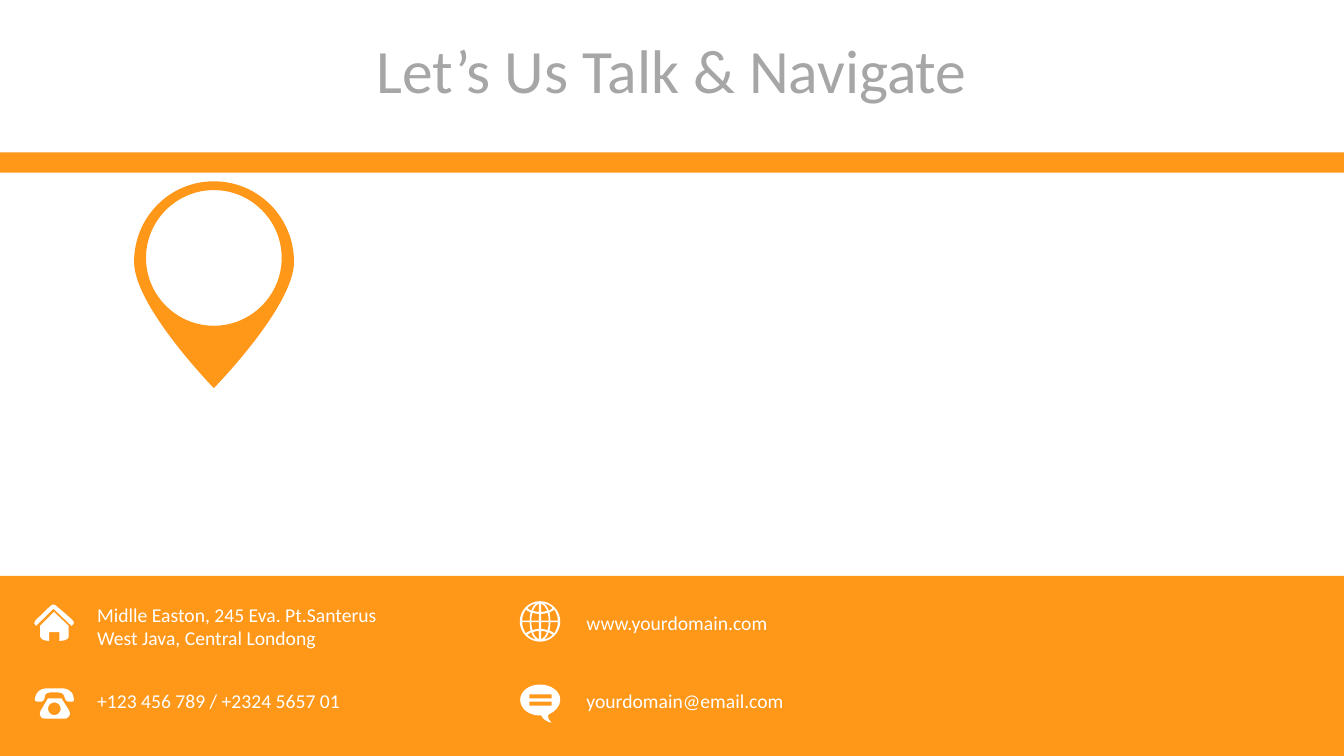
from lxml.etree import SubElement
from pptx import Presentation
from pptx.dml.color import RGBColor
from pptx.enum.shapes import MSO_SHAPE
from pptx.enum.text import PP_ALIGN
from pptx.oxml.ns import qn
from pptx.util import Cm, Pt

ORANGE, WHITE, GREY = "FF9719", "FFFFFF", "A6A6A6"
WIDE, HIGH = 33.87, 19.05

# Bands: top, height (cm)
BANDS = [(14.51, 4.54), (3.84, 0.51)]

# Texts: lines, left, top, width, height, size, colour, centred, wrapped
TEXTS = [
    (["Let’s Us Talk & Navigate"], 7.88, 0.68, 18.11, 2.14, 44, GREY, True, False),
    (["Midlle Easton, 245 Eva. Pt.Santerus", "West Java, Central Londong"],
     2.2, 15.06, 8.46, 1.45, 14, WHITE, False, True),
    (["+123 456 789 / +2324 5657 01"], 2.2, 17.23, 7.14, 0.86, 14, WHITE, False, False),
    (["www.yourdomain.com"], 14.53, 15.27, 5.33, 0.86, 14, WHITE, False, False),
    (["yourdomain@email.com"], 14.53, 17.23, 5.61, 0.86, 14, WHITE, False, False),
]

# Outlines (cm): a start point, then lines (2 numbers) or curves (6 numbers)
PIN = [(5.39, 4.57), (4.27, 4.57, 3.38, 5.48, 3.38, 6.6),
       (3.38, 7.72, 5.39, 9.78, 5.39, 9.78), (5.39, 9.78, 7.41, 7.72, 7.41, 6.6),
       (7.41, 5.48, 6.51, 4.57, 5.39, 4.57)]
ROOF = [(1.85, 15.65), (1.78, 15.57, 1.42, 15.27, 1.42, 15.27),
        (1.42, 15.27, 1.35, 15.19, 1.27, 15.27), (0.91, 15.62),
        (0.91, 15.62, 0.81, 15.7, 0.91, 15.77), (1.35, 15.34), (1.8, 15.77),
        (1.8, 15.77, 1.9, 15.72, 1.85, 15.65)]
HOUSE = [(1.73, 15.77), (1.36, 15.42), (1.01, 15.77), (1.01, 16.03),
         (1.01, 16.15, 1.24, 16.15, 1.24, 16.15), (1.24, 15.93), (1.5, 15.93),
         (1.5, 16.15), (1.75, 16.15, 1.73, 16.03, 1.73, 16.03)]
HANDSET = [(1.86, 17.6), (1.83, 17.35, 1.61, 17.35, 1.61, 17.35), (1.14, 17.35),
           (1.14, 17.35, 0.93, 17.35, 0.88, 17.6), (0.86, 17.68, 0.94, 17.68, 0.94, 17.68),
           (1.05, 17.68), (1.12, 17.68, 1.12, 17.6, 1.12, 17.6),
           (1.12, 17.53, 1.14, 17.45, 1.27, 17.45), (1.47, 17.45),
           (1.6, 17.45, 1.63, 17.53, 1.64, 17.6), (1.64, 17.6, 1.65, 17.68, 1.71, 17.68),
           (1.82, 17.68), (1.82, 17.68, 1.88, 17.68, 1.86, 17.6)]
PHONE = [(1.73, 17.88), (1.55, 17.6), (1.21, 17.6), (1.03, 17.9),
         (1.03, 17.9, 0.92, 18.11, 1.16, 18.11), (1.64, 18.11),
         (1.64, 18.11, 1.84, 18.08, 1.73, 17.88)]
BUBBLE = [(14.12, 17.63), (14.12, 17.42, 13.89, 17.25, 13.61, 17.25),
          (13.33, 17.25, 13.11, 17.42, 13.11, 17.63),
          (13.11, 17.86, 13.33, 18.03, 13.61, 18.03), (13.64, 18.03),
          (13.67, 18.08, 13.72, 18.18, 13.9, 18.21),
          (13.86, 18.16, 13.79, 18.11, 13.82, 18.01),
          (13.99, 17.93, 14.12, 17.8, 14.12, 17.63)]

# Globe: centre and radius, then the gaps of one quarter, measured from the centre
GLOBE = (13.61, 15.66, 0.51)
GAPS = [
    [(0.03, 0.19), (0.09, 0.19, 0.14, 0.2, 0.19, 0.22),
     (0.21, 0.15, 0.22, 0.09, 0.22, 0.02), (0.03, 0.02)],
    [(0.03, 0.24), (0.08, 0.24, 0.13, 0.25, 0.18, 0.27),
     (0.13, 0.38, 0.08, 0.43, 0.03, 0.45)],
    [(0.26, 0.02), (0.26, 0.1, 0.25, 0.17, 0.24, 0.23),
     (0.29, 0.25, 0.34, 0.28, 0.36, 0.3), (0.41, 0.22, 0.45, 0.12, 0.45, 0.02)],
    [(0.32, 0.34), (0.3, 0.32, 0.26, 0.29, 0.22, 0.27),
     (0.19, 0.36, 0.15, 0.42, 0.1, 0.46), (0.18, 0.44, 0.26, 0.4, 0.32, 0.34)],
]

deck = Presentation()
deck.slide_width, deck.slide_height = Cm(WIDE), Cm(HIGH)
slide = deck.slides.add_slide(deck.slide_layouts[6])
shapes = slide.shapes


def tint(fill, color):
    fill.solid()
    fill.fore_color.rgb = RGBColor.from_string(color)


def style(shape, color):
    shape.shadow.inherit = False
    tint(shape.fill, color)
    shape.line.fill.background()


def place(outline, x, y, sx=1, sy=1):
    """Scale an outline, then move it to x, y."""
    return [tuple(x + sx * v if i % 2 == 0 else y + sy * v for i, v in enumerate(part))
            for part in outline]


def ring(x, y, r):
    k = 0.55
    unit = [(0, -1), (-k, -1, -1, -k, -1, 0), (-1, k, -k, 1, 0, 1),
            (k, 1, 1, k, 1, 0), (1, -k, k, -1, 0, -1)]
    return place(unit, x, y, r, r)


def box(left, top, right, low):
    return [(left, top), (right, top), (right, low), (left, low)]


def draw(outlines, color):
    pen = None
    for start, *parts in outlines:
        spot = [Cm(v) for v in start]
        if pen is None:
            pen = shapes.build_freeform(*spot)
        else:
            pen.move_to(*spot)
        points = [(Cm(p[i]), Cm(p[i + 1])) for p in parts for i in range(0, len(p), 2)]
        pen.add_line_segments(points, close=True)
    shape = pen.convert_to_shape()
    style(shape, color)
    # Join each curve's three points into one Bézier segment
    steps = iter(shape._element.xpath(".//a:lnTo"))
    for part in (p for _, *parts in outlines for p in parts):
        step = next(steps)
        if len(part) == 6:
            curve = SubElement(step.getparent(), qn("a:cubicBezTo"))
            step.addprevious(curve)
            for node in (step, next(steps), next(steps)):
                curve.append(node[0])
                node.getparent().remove(node)


def write(lines, left, top, width, height, size, color, center, wrap):
    frame = shapes.add_textbox(Cm(left), Cm(top), Cm(width), Cm(height)).text_frame
    frame.word_wrap = wrap
    for i, line in enumerate(lines):
        para = frame.paragraphs[0] if i == 0 else frame.add_paragraph()
        para.text = line
        para.alignment = PP_ALIGN.CENTER if center else PP_ALIGN.LEFT
        para.font.name, para.font.size = "Calibri", Pt(size)
        tint(para.font.fill, color)


# Bands
for top, height in BANDS:
    style(shapes.add_shape(MSO_SHAPE.RECTANGLE, 0, Cm(top), Cm(WIDE), Cm(height)), ORANGE)

# Map pin
draw([PIN, ring(5.39, 6.5, 1.71)], ORANGE)

# House, phone, speech bubble and globe
for outline in (ROOF, HOUSE, HANDSET):
    draw([outline], WHITE)
draw([PHONE, ring(1.37, 17.86, 0.16)], WHITE)
draw([BUBBLE] + [box(13.34, y, 13.9, y + 0.1) for y in (17.5, 17.68)], WHITE)
x, y, r = GLOBE
draw([ring(x, y, r)] + [place(gap, x, y, sx, sy)
                        for sx in (-1, 1) for sy in (-1, 1) for gap in GAPS], WHITE)

# Title and contact lines
for text in TEXTS:
    write(*text)

deck.save("out.pptx")
